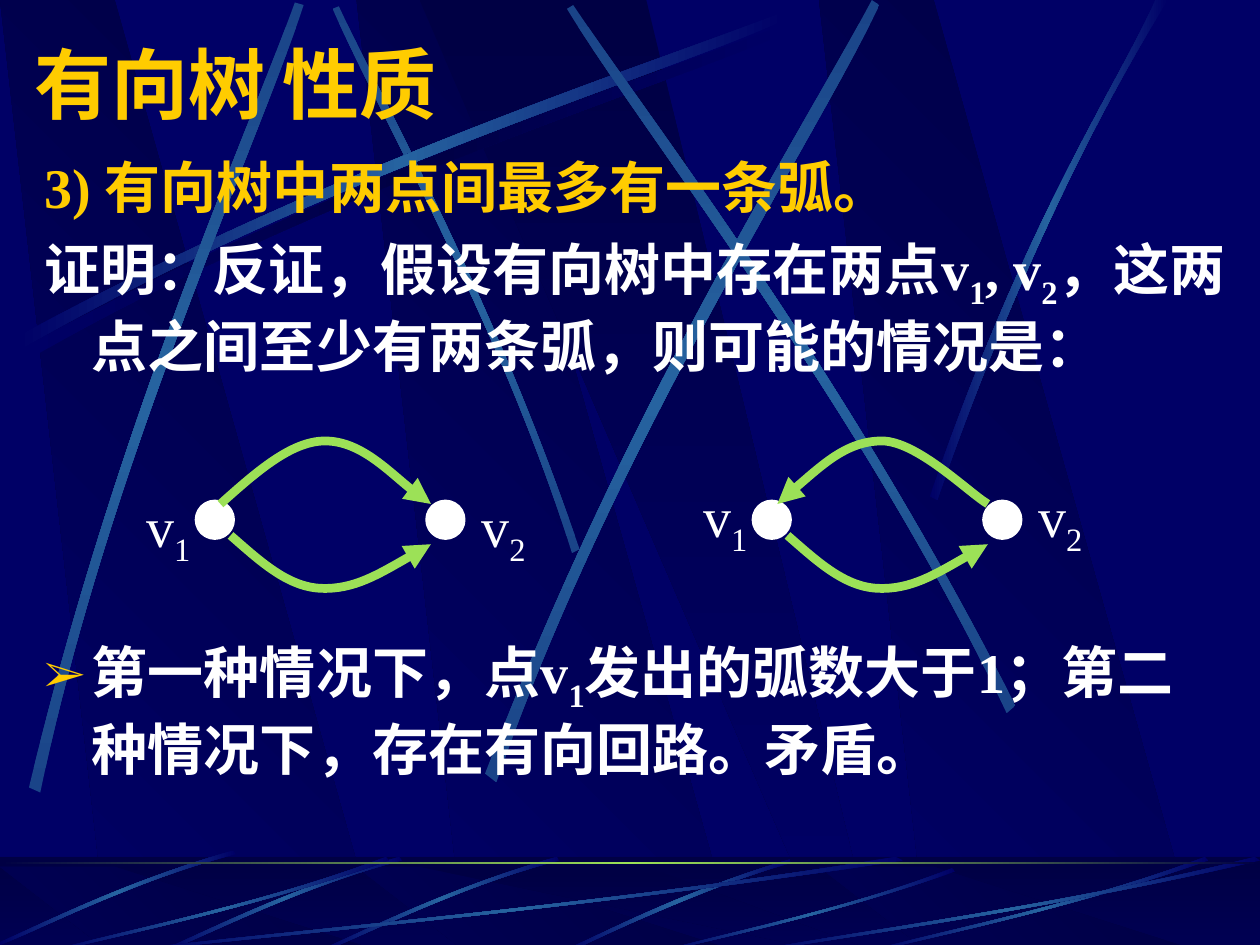
from lxml.etree import SubElement
from pptx import Presentation
from pptx.dml.color import RGBColor
from pptx.enum.shapes import MSO_SHAPE
from pptx.enum.text import MSO_ANCHOR, MSO_AUTO_SIZE, PP_ALIGN
from pptx.oxml.ns import qn
from pptx.util import Emu, Pt

SCALE = 9144
NAVY, DARK, BLUE, STEEL = "000066", "000044", "2663A0", "1A4488"
GREEN, GOLD, WHITE = "9CE157", "FFCC00", "FFFFFF"
LATIN, CJK = "Times New Roman", "Noto Sans CJK SC"
FADE, STEADY, SHADE = (NAVY, BLUE, NAVY), (STEEL, BLUE, STEEL), (NAVY, DARK, NAVY)
LONG_STREAK = [(14, 267), (278, 125), (518, 51), (620, 10),
               (623, 16), (522, 61), (248, 143), (17, 277)]
STEEP_STREAKS = [
    [(460, 436), (391, 234), (302, 77), (269, 5), (264, 7), (295, 79), (398, 258), (454, 439)],
    [(23, 625), (93, 334), (197, 105), (234, 2), (241, 4), (207, 109), (86, 368), (32, 629)],
    [(385, 614), (498, 320), (638, 102), (692, 0), (698, 4), (649, 108), (486, 355), (394, 621)],
    [(806, 560), (670, 293), (516, 95), (455, 4), (450, 7), (507, 101), (685, 325), (799, 566)],
]
RIGHT_STREAK = [(738, 394), (814, 173), (888, 66), (917, 0),
                (927, 0), (836, 145), (769, 322), (744, 397)]
FLOOR_STREAK = [(627, 682), (537, 709), (477, 742), (448, 754),
                (453, 755), (490, 737), (571, 700), (628, 685)]
SHORT_STREAK = [(442, 680), (355, 705), (287, 740), (256, 753),
                (257, 755), (288, 743), (365, 703), (444, 683)]
SWEEP = [(1, 0.04), (0.57, 0.57), (0.17, 0.85), (0.01, 1),
         (0, 0.99), (0.17, 0.81), (0.62, 0.51), (0.99, 0)]
UPPER_ARC = [(0, 50), (28, 25), (56, 0), (83, 0), (111, 0), (153, 42), (167, 50)]
LOWER_ARC = [(8, 75), (31, 95), (53, 116), (80, 117), (106, 118), (136, 100), (167, 82)]


def px(n):
    """Turn a length in px into EMU."""
    return Emu(round(n * SCALE))


def rgb(code):
    """Turn a hex string into a colour."""
    return RGBColor.from_string(code)


def style(obj, values):
    """Set each named attribute of an object."""
    for name, value in values.items():
        setattr(obj, name, value)


def shift(points, dx, dy=0):
    """Move a list of points."""
    return [(x + dx, y + dy) for x, y in points]


def solid(shape, colour, alpha=None):
    """Fill a shape with one colour and remove its shadow."""
    shape.shadow.inherit = False
    shape.fill.solid()
    shape.fill.fore_color.rgb = rgb(colour)
    if alpha:
        clr = shape.element.spPr.find(qn("a:solidFill"))[0]
        SubElement(clr, qn("a:alpha"), val=str(alpha * 1000))


def gradient(shape, colours, angle):
    """Fill a shape with evenly spaced gradient colours."""
    shape.shadow.inherit = False
    shape.line.fill.background()
    shape.fill.gradient()
    grad = shape.element.spPr.find(qn("a:gradFill"))
    stops = grad.find(qn("a:gsLst"))
    stops.clear()
    for i, colour in enumerate(colours):
        stop = SubElement(stops, qn("a:gs"), pos=str(i * 100000 // (len(colours) - 1)))
        SubElement(stop, qn("a:srgbClr"), val=colour)
    grad.find(qn("a:lin")).set("ang", str(angle * 60000))


def add_outline(s, points, curves=(), close=True):
    """Draw a freeform, bending the three segments from each index in curves."""
    start, *rest = [(px(x), px(y)) for x, y in points]
    builder = s.shapes.build_freeform(*start, scale=1.0)
    builder.add_line_segments(rest, close=close)
    shape = builder.convert_to_shape()
    segments = list(shape.element.iter(qn("a:lnTo")))
    for i in curves:
        segments[i].tag = qn("a:cubicBezTo")
        for segment in segments[i + 1:i + 3]:
            segments[i].append(segment[0])
            segment.getparent().remove(segment)
    return shape


def add_streak(s, edges, colours=FADE, angle=180):
    """Draw a light streak between two curved edges."""
    gradient(add_outline(s, edges, (0, 4)), colours, angle)


def add_slabs(s, top, bottom):
    """Draw the dark slanted slabs between two heights."""
    for left in (283, 0, 650):
        corners = [(86, bottom), (302, bottom), (91, top), (0, top)]
        gradient(add_outline(s, shift(corners, left)), (DARK, NAVY), 135)
    corners = [(333, top), (658, bottom), (694, bottom), (513, top)]
    gradient(add_outline(s, corners), (DARK, NAVY), 90)


def add_band(s, top, height):
    """Add a rectangle across the slide."""
    band = s.shapes.add_shape(MSO_SHAPE.RECTANGLE, 0, px(top), px(1000), px(height))
    band.line.fill.background()
    return band


def add_backdrop(s):
    """Draw the slabs, streaks and floor behind the content."""
    s.background.fill.solid()
    s.background.fill.fore_color.rgb = rgb(NAVY)
    add_slabs(s, 0, 752)
    add_streak(s, shift(LONG_STREAK, 6, 8), SHADE)
    add_streak(s, STEEP_STREAKS[0], STEADY, 90)
    add_streak(s, LONG_STREAK)
    for edges in STEEP_STREAKS[1:]:
        add_streak(s, edges, STEADY, 90)
    add_streak(s, RIGHT_STREAK)
    gradient(add_band(s, 680, 75), (DARK, NAVY), 90)
    add_slabs(s, 688, 755)
    solid(add_band(s, 680, 75), DARK, 50)
    add_streak(s, FLOOR_STREAK)
    for dx, dy in ((0, 0), (-125, 0), (-257, -5)):
        add_streak(s, shift(SHORT_STREAK, dx, dy))
    for left, top, width in ((100, 680, 617), (42, 680, 267), (527, 689, 231),
                             (692, 680, 267), (600, 680, 400)):
        add_streak(s, [(left + x * width, top + y * (755 - top)) for x, y in SWEEP])
    gradient(add_band(s, 684, 2), (DARK, GREEN, DARK), 180)


def add_runs(p, text, size, colour, bold=True, font=LATIN):
    """Add text in which each part between underscores is a subscript."""
    for i, part in enumerate(text.split("_")):
        r = p.add_run()
        r.text = part
        style(r.font, {"name": font, "size": Pt(size), "bold": bold})
        r.font.color.rgb = rgb(colour)
        r_pr = r._r.get_or_add_rPr()
        SubElement(r_pr, qn("a:ea"), typeface=CJK)
        if i % 2:
            r_pr.set("baseline", "-25000")


def place(s, ph, box, anchor):
    """Bring a placeholder to the front and set its box."""
    ph.element.getparent().append(ph.element)
    style(ph, dict(zip(("left", "top", "width", "height"), map(px, box))))
    style(ph.text_frame, {"auto_size": MSO_AUTO_SIZE.NONE, "vertical_anchor": anchor,
                          "word_wrap": True})
    return ph.text_frame


def add_item(p, before, bullet=None):
    """Format a body paragraph with a hanging indent."""
    p_pr = p._p.get_or_add_pPr()
    style(p, {"alignment": PP_ALIGN.LEFT, "space_before": Pt(before), "line_spacing": Pt(38.7)})
    p_pr.set("marL", str(px(38)))
    p_pr.set("indent", str(px(-38)))
    if bullet:
        SubElement(SubElement(p_pr, qn("a:buClr")), qn("a:srgbClr"), val=GOLD)
        SubElement(p_pr, qn("a:buSzPct"), val="80000")
        SubElement(p_pr, qn("a:buFont"), typeface=LATIN)
        SubElement(p_pr, qn("a:buChar"), char=bullet)
    else:
        SubElement(p_pr, qn("a:buNone"))
    return p


def add_arc(s, points, end):
    """Draw a green curved arrow with its head at one end."""
    arc = add_outline(s, points, (0, 3), close=False)
    arc.shadow.inherit = False
    arc.fill.background()
    arc.line.width = Pt(5)
    arc.line.color.rgb = rgb(GREEN)
    SubElement(arc.line._get_or_add_ln(), qn(f"a:{end}"), type="triangle")


def add_vertex(s, left, number, label_left, label_top):
    """Draw a white vertex and its label."""
    dot = s.shapes.add_shape(MSO_SHAPE.OVAL, px(left), px(400), px(25), px(25))
    solid(dot, WHITE)
    dot.line.width = Pt(5)
    dot.line.color.rgb = rgb(WHITE)
    tf = s.shapes.add_textbox(px(label_left), px(label_top), px(83), px(75)).text_frame
    style(tf, {"word_wrap": False, "vertical_anchor": MSO_ANCHOR.MIDDLE})
    p = tf.paragraphs[0]
    p.alignment = PP_ALIGN.CENTER
    add_runs(p, f"v_{number}_", 32, WHITE, bold=False)


def add_graph(s, left, label_top, upper_end):
    """Draw two vertices joined by two arcs."""
    add_vertex(s, left, 1, left - 66, label_top)
    add_vertex(s, left + 183, 2, left + 200, label_top)
    add_arc(s, shift(UPPER_ARC, left + 17, 350), upper_end)
    add_arc(s, shift(LOWER_ARC, left + 17, 350), "tailEnd")


def main():
    """Build and save the slide."""
    prs = Presentation()
    style(prs, {"slide_width": px(1000), "slide_height": px(750)})
    s = prs.slides.add_slide(prs.slide_layouts[1])
    add_backdrop(s)
    p = place(s, s.shapes.title, (17, 24, 967, 84), MSO_ANCHOR.MIDDLE).paragraphs[0]
    p.alignment = PP_ALIGN.LEFT
    add_runs(p, "有向树 性质", 44, GOLD)
    tf = place(s, s.placeholders[1], (25, 117, 958, 575), MSO_ANCHOR.TOP)
    tf.margin_top = px(4)
    p = add_item(tf.paragraphs[0], 0)
    add_runs(p, "3) 有向树中", 32, GOLD)
    add_runs(p, "两点间最多有一条弧。", 32, GOLD, font=CJK)
    add_runs(add_item(tf.add_paragraph(), 13),
             "证明：反证，假设有向树中存在两点v_1_, v_2_，这两点之间至少有两条弧，则可能的情况是：", 32, WHITE)
    add_runs(add_item(tf.add_paragraph(), 153, "➢"),
             "第一种情况下，点v_1_发出的弧数大于1；第二种情况下，存在有向回路。矛盾。", 32, WHITE)
    add_graph(s, 158, 383, "tailEnd")
    add_graph(s, 600, 375, "headEnd")
    prs.save("out.pptx")


if __name__ == "__main__":
    main()
